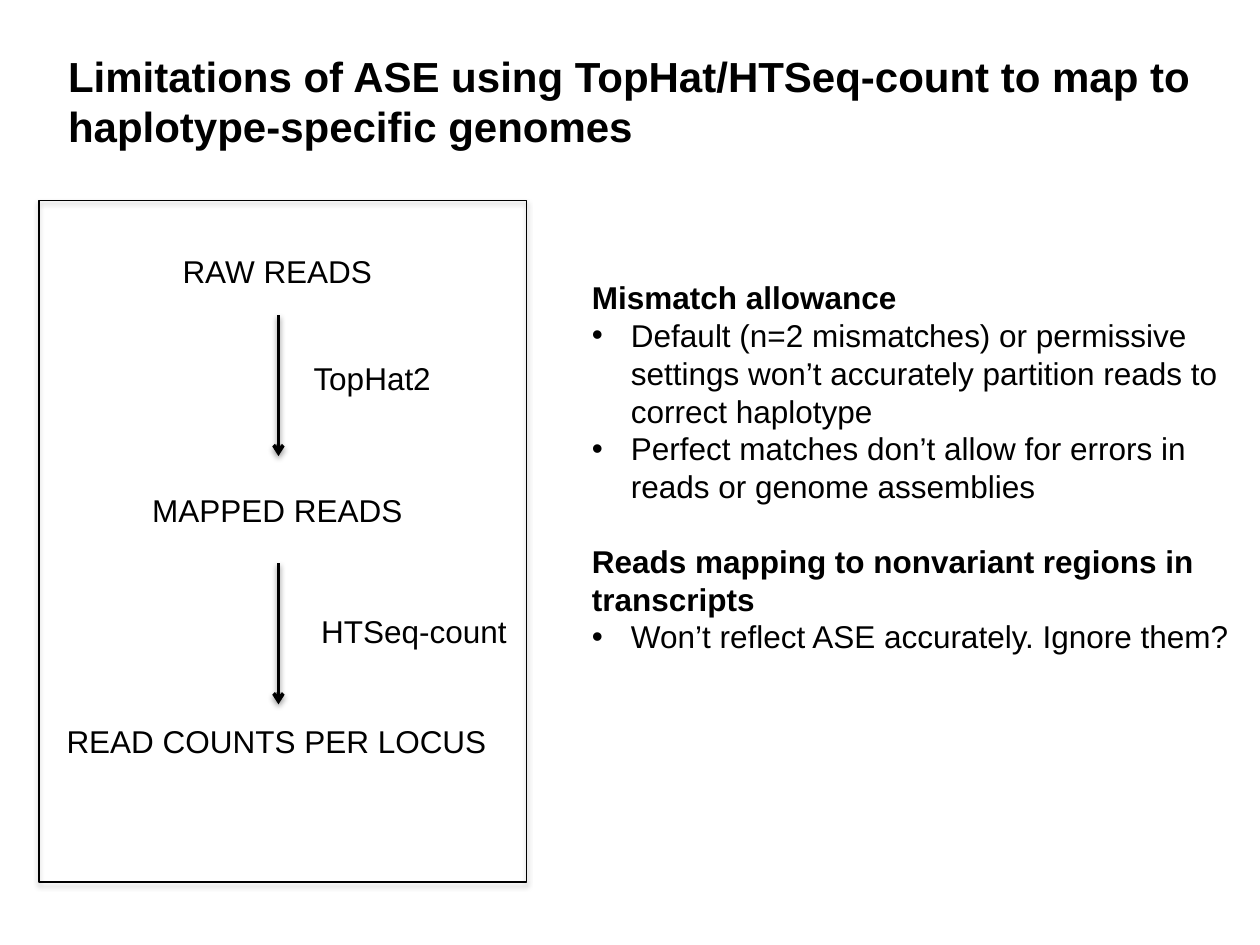
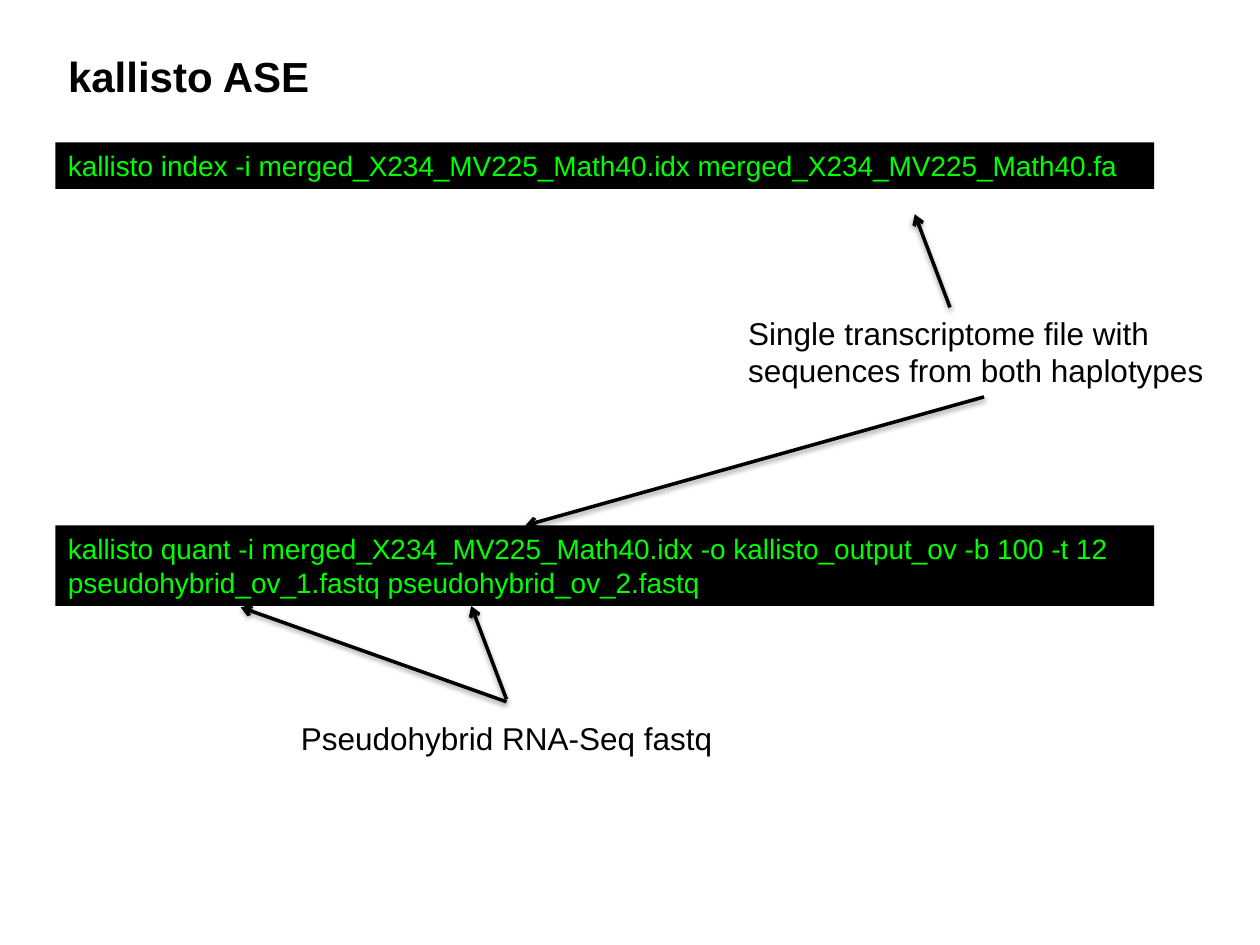
import dataclasses

import lxml.etree
import pptx
import pptx.dml.color
import pptx.enum.shapes
import pptx.enum.text
import pptx.oxml.ns
import pptx.util

Inches, Pt = pptx.util.Inches, pptx.util.Pt
RGBColor = pptx.dml.color.RGBColor
qn = pptx.oxml.ns.qn


@dataclasses.dataclass(frozen=True)
class Theme:
    font: str = "Arial"
    ink: RGBColor = RGBColor(0, 0, 0)
    terminal_green: RGBColor = RGBColor(0, 255, 0)
    title_size: int = 24
    body_size: int = 18
    command_size: int = 16
    line_width: float = 2
    frame_width: float = 0.75


theme = Theme()


def write(shape, lines, size=theme.body_size, color=theme.ink, bold=False, wrap=True):
    """Fill a shape with left-aligned paragraphs and return them."""
    frame = shape.text_frame
    frame.text = "\n".join(lines)
    frame.word_wrap = wrap
    frame.auto_size = pptx.enum.text.MSO_AUTO_SIZE.NONE
    frame.vertical_anchor = pptx.enum.text.MSO_ANCHOR.TOP
    for paragraph in frame.paragraphs:
        paragraph.alignment = pptx.enum.text.PP_ALIGN.LEFT
        paragraph.font.name = theme.font
        paragraph.font.size = Pt(size)
        paragraph.font.bold = bold
        paragraph.font.color.rgb = color
    return frame.paragraphs


def cast_shadow(shape, distance, opacity):
    """Add a soft shadow straight below a shape; distance is in points."""
    effects = lxml.etree.SubElement(shape.element.spPr, qn("a:effectLst"))
    shadow = lxml.etree.SubElement(
        effects, qn("a:outerShdw"), blurRad=str(Pt(3.15)), dist=str(Pt(distance)),
        dir="5400000", rotWithShape="0")
    tint = lxml.etree.SubElement(shadow, qn("a:srgbClr"), val=str(theme.ink))
    lxml.etree.SubElement(tint, qn("a:alpha"), val=str(opacity * 1000))


presentation = pptx.Presentation()
presentation.slide_width, presentation.slide_height = Inches(10), Inches(7.5)

# Slides and titles
slides = []
for heading, height in [
    ("Limitations of ASE using TopHat/HTSeq-count to map to haplotype-specific genomes", 0.91),
    ("kallisto ASE", 0.5),
]:
    slide = presentation.slides.add_slide(presentation.slide_layouts[5])
    title = slide.shapes.title
    title.left, title.top = Inches(0.44), Inches(0.35)
    title.width, title.height = Inches(9.23), Inches(height)
    write(title, [heading], theme.title_size, bold=True)
    slides.append(slide)
limitations, kallisto = slides

# Mapping workflow: stages and the tools between them
for step, left, top, width in [
    ("RAW READS", 1.35, 1.95, 1.72),
    ("TopHat2", 2.39, 2.8, 1.14),
    ("MAPPED READS", 1.11, 3.85, 2.21),
    ("HTSeq-count", 2.45, 4.81, 1.69),
    ("READ COUNTS PER LOCUS", 0.43, 5.68, 3.57),
]:
    label = limitations.shapes.add_textbox(Inches(left), Inches(top), Inches(width), Inches(0.4))
    write(label, [step], wrap=False)

# Limitations: bold topics, each followed by its bulleted points
topics = {
    "Mismatch allowance": [
        "Default (n=2 mismatches) or permissive settings won’t accurately partition "
        "reads to correct haplotype",
        "Perfect matches don’t allow for errors in reads or genome assemblies",
    ],
    "Reads mapping to nonvariant regions in transcripts": [
        "Won’t reflect ASE accurately. Ignore them?",
    ],
}
lines = [line for topic, points in topics.items() for line in (topic, *points)]
notes = limitations.shapes.add_textbox(Inches(4.6), Inches(2.16), Inches(5.26), Inches(4.04))
for position, paragraph in enumerate(write(notes, lines)):
    if paragraph.text in topics:
        paragraph.font.bold = True
        paragraph.space_before = Pt(21 if position else 0)
    else:
        properties = paragraph._p.get_or_add_pPr()
        properties.set("marL", str(Inches(0.31)))
        properties.set("indent", str(Inches(-0.31)))
        lxml.etree.SubElement(properties, qn("a:buFont"), typeface=theme.font)
        lxml.etree.SubElement(properties, qn("a:buChar"), char="•")
        # Bullet settings come before the text defaults in the schema
        properties.append(properties.find(qn("a:defRPr")))

# Terminal commands
for command, top, height in [
    ("kallisto index -i merged_X234_MV225_Math40.idx merged_X234_MV225_Math40.fa", 1.13, 0.37),
    ("kallisto quant -i merged_X234_MV225_Math40.idx -o kallisto_output_ov -b 100 -t 12 "
     "pseudohybrid_ov_1.fastq pseudohybrid_ov_2.fastq", 4.17, 0.64),
]:
    terminal = kallisto.shapes.add_shape(
        pptx.enum.shapes.MSO_SHAPE.RECTANGLE,
        Inches(0.44), Inches(top), Inches(8.72), Inches(height))
    terminal.shadow.inherit = False
    terminal.fill.solid()
    terminal.fill.fore_color.rgb = theme.ink
    terminal.line.fill.background()
    write(terminal, [command], theme.command_size, theme.terminal_green)

# Explanations of the command arguments
for explanation, left, top, height in [
    ("Single transcriptome file with sequences from both haplotypes", 5.84, 2.44, 0.71),
    ("Pseudohybrid RNA-Seq fastq", 2.29, 5.66, 0.4),
]:
    label = kallisto.shapes.add_textbox(Inches(left), Inches(top), Inches(4.1), Inches(height))
    write(label, [explanation])

# Arrows: workflow steps, then explanations to arguments
for slide, *ends in [
    (limitations, 2.21, 2.5, 2.21, 3.62),
    (limitations, 2.21, 4.47, 2.21, 5.59),
    (kallisto, 4.02, 5.55, 3.74, 4.81),
    (kallisto, 4.02, 5.57, 1.91, 4.82),
    (kallisto, 7.54, 2.44, 7.26, 1.7),
    (kallisto, 7.81, 3.15, 4.17, 4.17),
]:
    arrow = slide.shapes.add_connector(
        pptx.enum.shapes.MSO_CONNECTOR.STRAIGHT, *map(Inches, ends))
    arrow.line.color.rgb = theme.ink
    arrow.line.width = Pt(theme.line_width)
    outline = arrow.element.spPr.find(qn("a:ln"))
    lxml.etree.SubElement(outline, qn("a:tailEnd"), type="arrow")
    cast_shadow(arrow, distance=1.6, opacity=38)

# Frame around the workflow
workflow_frame = limitations.shapes.add_shape(
    pptx.enum.shapes.MSO_SHAPE.RECTANGLE,
    Inches(0.31), Inches(1.59), Inches(3.87), Inches(5.41))
workflow_frame.fill.background()
workflow_frame.line.color.rgb = theme.ink
workflow_frame.line.width = Pt(theme.frame_width)
cast_shadow(workflow_frame, distance=1.8, opacity=35)

presentation.save("out.pptx")
